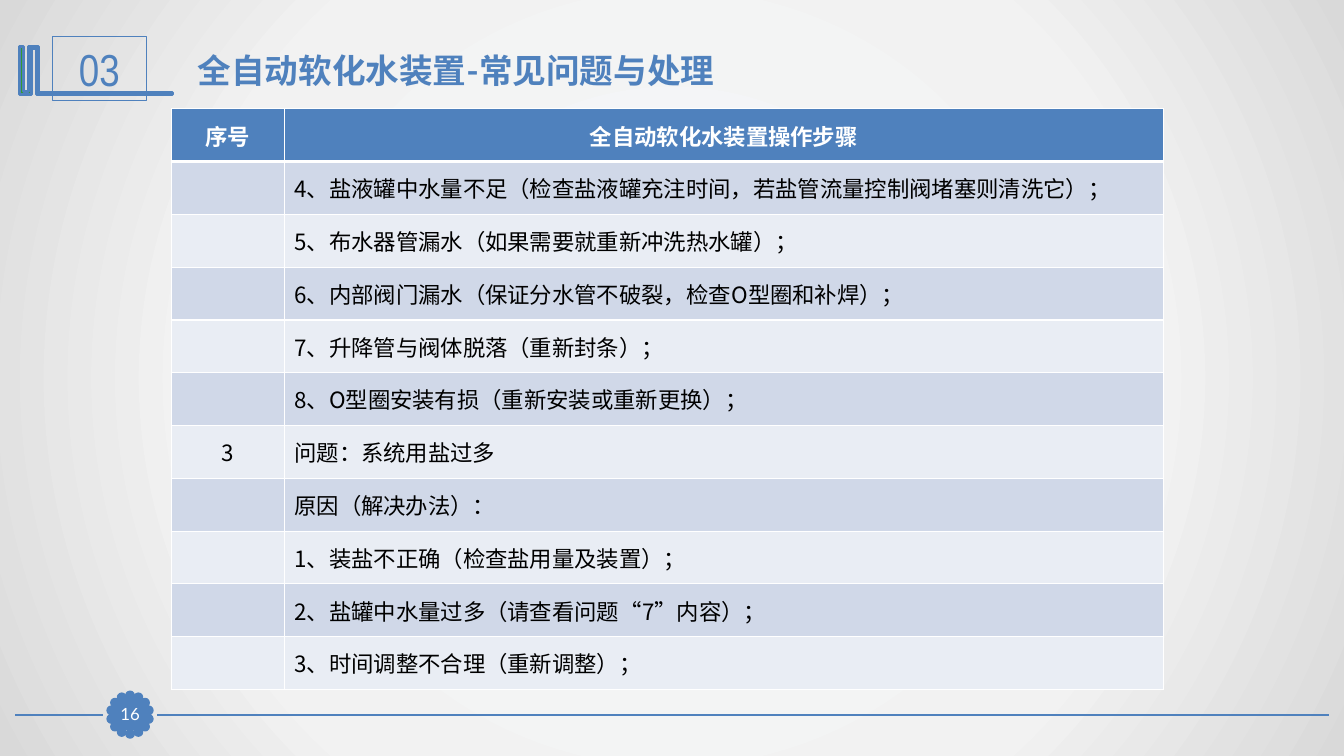
"""Build the slide on common problems of the automatic water softener."""
from dataclasses import dataclass
from math import cos, pi, sin

from lxml import etree
from pptx import Presentation
from pptx.dml.color import RGBColor
from pptx.enum.shapes import MSO_CONNECTOR, MSO_SHAPE
from pptx.enum.text import MSO_ANCHOR, MSO_AUTO_SIZE, PP_ALIGN
from pptx.oxml import parse_xml
from pptx.oxml.ns import nsdecls, qn
from pptx.util import Inches, Pt

LEFT, CENTER = PP_ALIGN.LEFT, PP_ALIGN.CENTER
TOP, MIDDLE = MSO_ANCHOR.TOP, MSO_ANCHOR.MIDDLE
NO_AUTOFIT = MSO_AUTO_SIZE.NONE
RECTANGLE, OVAL = MSO_SHAPE.RECTANGLE, MSO_SHAPE.OVAL
STRAIGHT = MSO_CONNECTOR.STRAIGHT

TITLE = "全自动软化水装置-常见问题与处理"
SECTION = "03"
PAGE = "16"
HEADER = ("序号", "全自动软化水装置操作步骤")
STEPS = [
    ("", "4、盐液罐中水量不足（检查盐液罐充注时间，若盐管流量控制阀堵塞则清洗它）；"),
    ("", "5、布水器管漏水（如果需要就重新冲洗热水罐）；"),
    ("", "6、内部阀门漏水（保证分水管不破裂，检查O型圈和补焊）；"),
    ("", "7、升降管与阀体脱落（重新封条）；"),
    ("", "8、O型圈安装有损（重新安装或重新更换）；"),
    ("3", "问题：系统用盐过多"),
    ("", "原因（解决办法）："),
    ("", "1、装盐不正确（检查盐用量及装置）；"),
    ("", "2、盐罐中水量过多（请查看问题“7”内容）；"),
    ("", "3、时间调整不合理（重新调整）；"),
]
COLUMN_WIDTHS = (1.12, 8.72)
TABLE_AT = (1.7, 1.08)
TABLE_HEIGHT = 5.76
FOOTER_Y = 7.09
FOOTER_RULES = [(13.18, 1.56), (1.02, 0.15)]
BADGE_CENTER = (1.29, 7.09)
BADGE_RADIUS, PETAL_SIZE, PETAL_COUNT = 0.19, 0.07, 14
EMBLEM = [
    (0.37, 0.46), (0.38, 0.46), (0.38, 0.92), (1.71, 0.92), (1.71, 0.94),
    (0.36, 0.94), (0.36, 0.48), (0.31, 0.48), (0.31, 0.94), (0.19, 0.94),
    (0.19, 0.46), (0.23, 0.46), (0.23, 0.91), (0.28, 0.91), (0.28, 0.46),
]


@dataclass(frozen=True)
class Theme:
    blue: str = "4F81BD"
    green: str = "339933"
    white: str = "FFFFFF"
    black: str = "000000"
    bands: tuple = ("D0D8E8", "E9EDF4")
    backdrop: tuple = ((0, "F6F9FC"), (63, "F2F2F2"), (100, "D9D9D9"))
    font: str = "Lato"
    cjk: str = "Noto Sans CJK SC"
    narrow: str = "Arial Narrow"
    section_size: int = 32
    title_size: int = 24
    table_size: int = 16
    page_size: int = 12


THEME = Theme()


def write(frame, text, *, size, color, font=THEME.font, bold=False, align=LEFT):
    paragraph = frame.paragraphs[0]
    paragraph.alignment = align
    run = paragraph.add_run()
    run.text = text
    run.font.size = Pt(size)
    run.font.bold = bold
    run.font.name = font
    run.font.color.rgb = RGBColor.from_string(color)
    latin = run.font._element.find(qn("a:latin"))
    latin.addnext(parse_xml(f'<a:ea {nsdecls("a")} typeface="{THEME.cjk}"/>'))


def style(shape, fill, width):
    shape.shadow.inherit = False
    if fill:
        shape.fill.solid()
        shape.fill.fore_color.rgb = RGBColor.from_string(fill)
    else:
        shape.fill.background()
    shape.line.color.rgb = RGBColor.from_string(THEME.blue)
    shape.line.width = Pt(width)
    return shape


def paint_background(slide):
    slide.background.fill.gradient()
    gradient = slide.element.find(".//" + qn("a:gradFill"))
    stops = "".join(
        f'<a:gs pos="{position * 1000}"><a:srgbClr val="{color}"/></a:gs>'
        for position, color in THEME.backdrop)
    gradient.getparent().replace(gradient, parse_xml(
        f'<a:gradFill {nsdecls("a")} rotWithShape="1"><a:gsLst>{stops}</a:gsLst>'
        '<a:path path="circle"><a:fillToRect l="50000" t="50000" r="50000" b="50000"/>'
        '</a:path></a:gradFill>'))


def draw_footer(shapes):
    for start, end in FOOTER_RULES:
        rule = shapes.add_connector(STRAIGHT, *map(Inches, (start, FOOTER_Y, end, FOOTER_Y)))
        rule.line.color.rgb = RGBColor.from_string(THEME.blue)
        rule.line.width = Pt(1.25)
        etree.SubElement(rule._element.spPr, qn("a:effectLst"))
    petals = shapes.add_group_shape().shapes
    center_x, center_y = BADGE_CENTER
    for index in range(PETAL_COUNT):
        angle = 2 * pi * index / PETAL_COUNT
        left = center_x + BADGE_RADIUS * sin(angle) - PETAL_SIZE / 2
        top = center_y - BADGE_RADIUS * cos(angle) - PETAL_SIZE / 2
        petal = petals.add_shape(OVAL, *map(Inches, (left, top, PETAL_SIZE, PETAL_SIZE)))
        style(petal, THEME.blue, 2)


def draw_label(shapes, text, box, fill=None, **text_format):
    label = style(shapes.add_shape(RECTANGLE, *map(Inches, box)), fill, 0.75)
    frame = label.text_frame
    frame.margin_left = frame.margin_right = frame.margin_top = frame.margin_bottom = 0
    frame.vertical_anchor = MIDDLE
    write(frame, text, align=CENTER, **text_format)


def draw_emblem(shapes):
    builder = shapes.build_freeform(*map(Inches, EMBLEM[0]))
    builder.add_line_segments([(Inches(x), Inches(y)) for x, y in EMBLEM[1:]], close=True)
    style(builder.convert_to_shape(), THEME.green, 2)


def place_title(title):
    title.left, title.top, title.width, title.height = map(Inches, (1.86, 0.44, 9.69, 0.5))
    title.text_frame.auto_size = NO_AUTOFIT
    title.text_frame.vertical_anchor = TOP
    write(title.text_frame, TITLE, size=THEME.title_size, color=THEME.blue, bold=True)


def edge_cell(cell, **widths):
    properties = cell._tc.get_or_add_tcPr()
    for index, side in enumerate("LRTB"):
        width = Pt(widths.get(side, 1))
        properties.insert(index, parse_xml(
            f'<a:ln{side} {nsdecls("a")} w="{width}"><a:solidFill>'
            f'<a:srgbClr val="{THEME.white}"/></a:solidFill></a:ln{side}>'))


def draw_table(shapes):
    rows = [HEADER, *STEPS]
    table = shapes.add_table(
        len(rows), len(HEADER),
        *map(Inches, (*TABLE_AT, sum(COLUMN_WIDTHS), TABLE_HEIGHT))).table
    for column, width in zip(table.columns, COLUMN_WIDTHS):
        column.width = Inches(width)
    for row_index, row in enumerate(rows):
        heading = row_index == 0
        table.rows[row_index].height = Inches(TABLE_HEIGHT / len(rows))
        fill = THEME.blue if heading else THEME.bands[(row_index - 1) % 2]
        for column_index, text in enumerate(row):
            cell = table.cell(row_index, column_index)
            cell.vertical_anchor = MIDDLE
            cell.fill.solid()
            cell.fill.fore_color.rgb = RGBColor.from_string(fill)
            edge_cell(cell, B=3 if heading else 1, T=3 if row_index == 1 else 1)
            if text:
                write(cell.text_frame, text, size=THEME.table_size, font=THEME.cjk,
                      color=THEME.white if heading else THEME.black, bold=heading,
                      align=CENTER if heading or column_index == 0 else LEFT)


def main():
    presentation = Presentation()
    presentation.slide_width, presentation.slide_height = Inches(13.33), Inches(7.5)
    slide = presentation.slides.add_slide(presentation.slide_layouts[5])
    paint_background(slide)
    draw_footer(slide.shapes)
    draw_emblem(slide.shapes)
    draw_label(slide.shapes, SECTION, (0.52, 0.36, 0.93, 0.64),
               size=THEME.section_size, color=THEME.blue, font=THEME.narrow)
    draw_label(slide.shapes, PAGE, (1.13, 6.93, 0.32, 0.31), fill=THEME.blue,
               size=THEME.page_size, color=THEME.white)
    place_title(slide.shapes.title)
    draw_table(slide.shapes)
    presentation.save("out.pptx")


if __name__ == "__main__":
    main()
